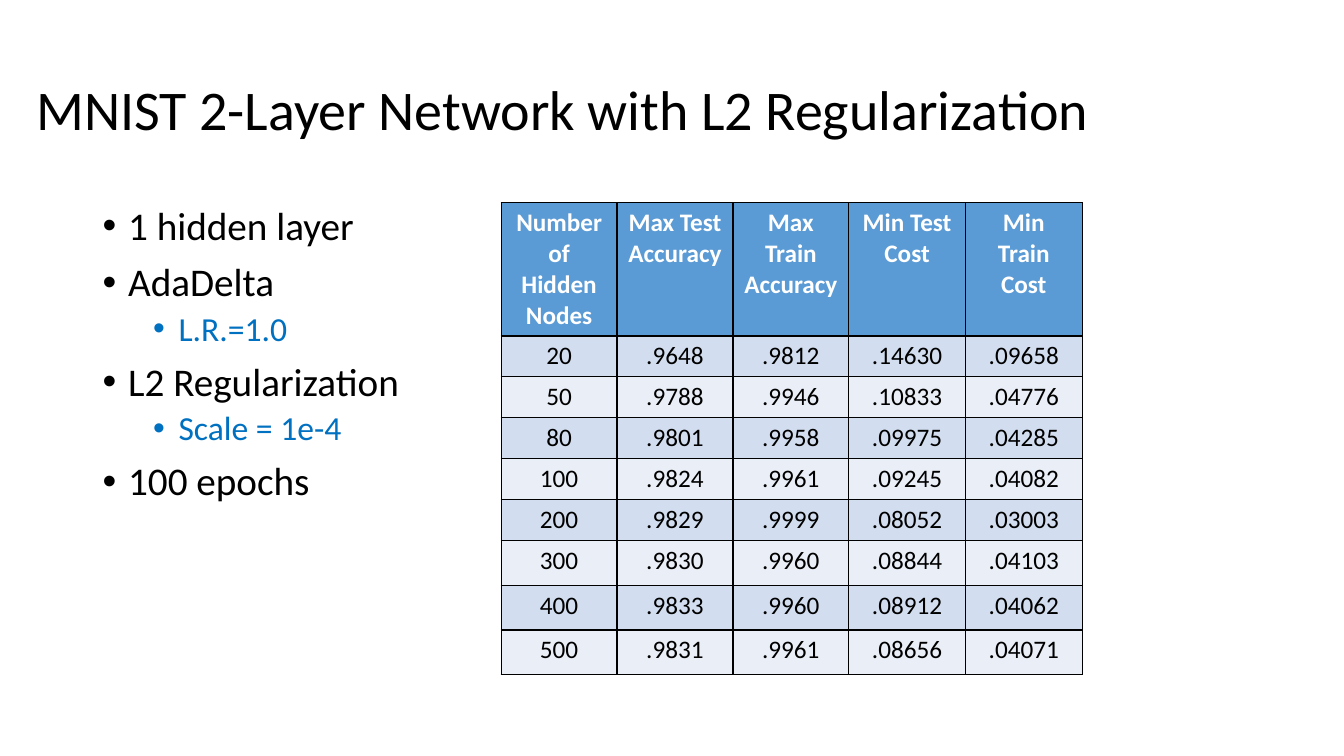
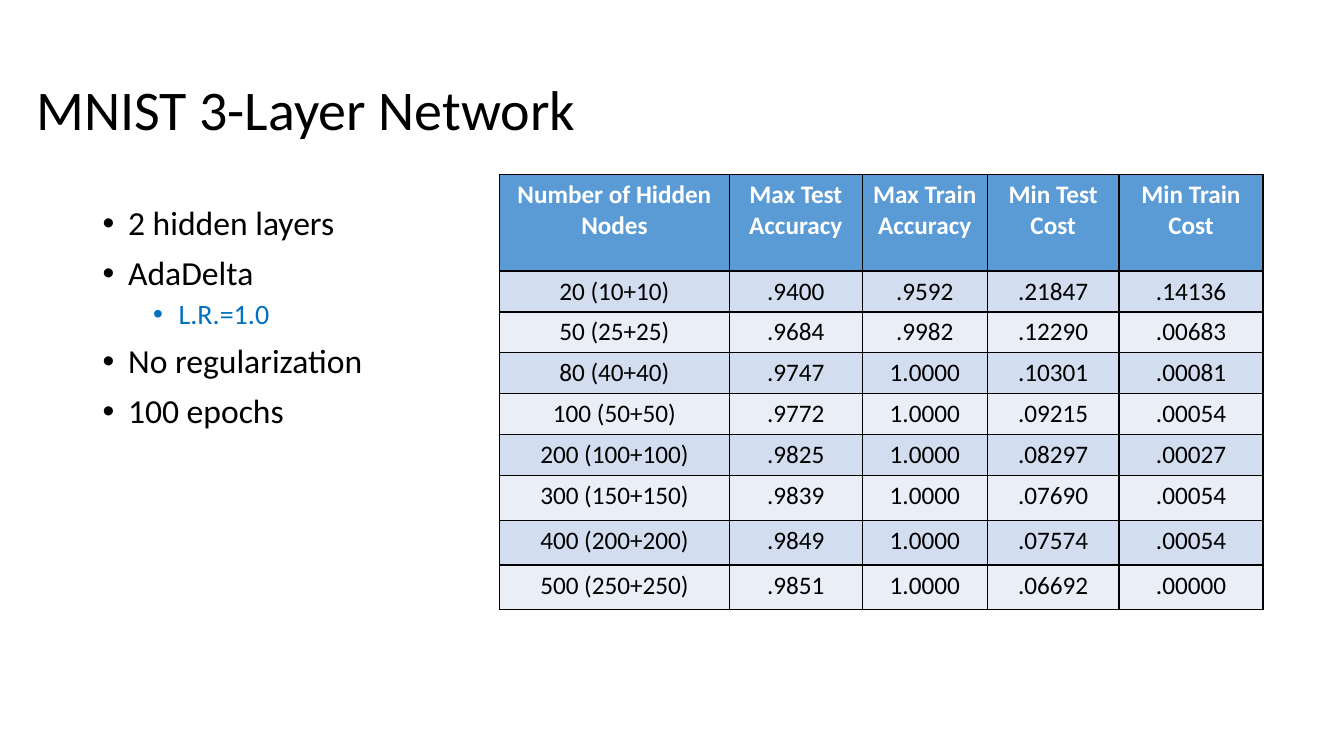
"""Build two slides comparing MNIST networks by number of hidden nodes."""
import dataclasses

import lxml.etree
import pptx
import pptx.dml.color
import pptx.enum.text
import pptx.oxml.ns
import pptx.util

Cm = pptx.util.Cm
Pt = pptx.util.Pt
RGB = pptx.dml.color.RGBColor.from_string
qn = pptx.oxml.ns.qn
ALIGN = pptx.enum.text.PP_ALIGN
ANCHOR = pptx.enum.text.MSO_ANCHOR


@dataclasses.dataclass(frozen=True)
class Theme:
    font: str = "Calibri"
    text: str = "000000"
    detail: str = "0070C0"
    header_text: str = "FFFFFF"
    header: str = "5B9BD5"
    bands: tuple = ("D2DEEF", "EAEFF7")
    border: str = "000000"
    title_size: int = 40
    table_size: int = 18
    detail_step: int = 4


theme = Theme()


def write(p, text, size, color=theme.text, bold=False, align=ALIGN.LEFT,
          spacing=None, before=None, bullet_indent=None):
    if bullet_indent is not None:
        pPr = p._p.get_or_add_pPr()
        pPr.set("marL", str(bullet_indent))
        pPr.set("indent", str(-Cm(0.64)))
        lxml.etree.SubElement(pPr, qn("a:buFont")).set("typeface", "Arial")
        lxml.etree.SubElement(pPr, qn("a:buChar")).set("char", "•")
    p.alignment = align
    if spacing is not None:
        p.line_spacing = spacing
    if before is not None:
        p.space_before = Pt(before)
    r = p.add_run()
    r.text = text
    r.font.name = theme.font
    r.font.size = Pt(size)
    r.font.bold = bold
    r.font.color.rgb = RGB(color)


def add_borders(cell):
    tcPr = cell._tc.get_or_add_tcPr()
    for side in ("lnL", "lnR", "lnT", "lnB"):
        ln = lxml.etree.SubElement(tcPr, qn(f"a:{side}"))
        ln.set("w", str(Pt(1)))
        fill = lxml.etree.SubElement(ln, qn("a:solidFill"))
        lxml.etree.SubElement(fill, qn("a:srgbClr")).set("val", theme.border)


headings = ("Number of Hidden Nodes", "Max Test Accuracy", "Max Train Accuracy",
            "Min Test Cost", "Min Train Cost")
data_heights = [1.03] * 5 + [1.13] * 3

slides = [
    {
        "title": "MNIST 2-Layer Network with L2 Regularization",
        "bullet_size": 28,
        "bullets": [(0, "1 hidden layer"), (0, "AdaDelta"), (1, "L.R.=1.0"),
                    (0, "L2 Regularization"), (1, "Scale = 1e-4"), (0, "100 epochs")],
        "left": 12.63, "top": 5.11, "header_height": 3.35,
        "widths": (2.92, 2.92, 2.92, 2.94, 2.94),
        "rows": [
            ("20", ".9648", ".9812", ".14630", ".09658"),
            ("50", ".9788", ".9946", ".10833", ".04776"),
            ("80", ".9801", ".9958", ".09975", ".04285"),
            ("100", ".9824", ".9961", ".09245", ".04082"),
            ("200", ".9829", ".9999", ".08052", ".03003"),
            ("300", ".9830", ".9960", ".08844", ".04103"),
            ("400", ".9833", ".9960", ".08912", ".04062"),
            ("500", ".9831", ".9961", ".08656", ".04071"),
        ],
    },
    {
        "title": "MNIST 3-Layer Network",
        "bullet_size": 24,
        "bullets": [(0, "2 hidden layers"), (0, "AdaDelta"), (1, "L.R.=1.0"),
                    (0, "No regularization"), (0, "100 epochs")],
        "left": 12.59, "top": 4.4, "header_height": 2.43,
        "widths": (5.79, 3.35, 3.15, 3.32, 3.63),
        "rows": [
            ("20 (10+10)", ".9400", ".9592", ".21847", ".14136"),
            ("50 (25+25)", ".9684", ".9982", ".12290", ".00683"),
            ("80 (40+40)", ".9747", "1.0000", ".10301", ".00081"),
            ("100 (50+50)", ".9772", "1.0000", ".09215", ".00054"),
            ("200 (100+100)", ".9825", "1.0000", ".08297", ".00027"),
            ("300 (150+150)", ".9839", "1.0000", ".07690", ".00054"),
            ("400 (200+200)", ".9849", "1.0000", ".07574", ".00054"),
            ("500 (250+250)", ".9851", "1.0000", ".06692", ".00000"),
        ],
    },
]

prs = pptx.Presentation()
prs.slide_width, prs.slide_height = Cm(33.87), Cm(19.05)

for content in slides:
    s = prs.slides.add_slide(prs.slide_layouts[5])
    title = s.shapes.title
    title.left, title.top, title.width, title.height = Cm(0.66), Cm(0.99), Cm(29.21), Cm(3.68)
    title.text_frame.vertical_anchor = ANCHOR.MIDDLE
    write(title.text_frame.paragraphs[0], content["title"], theme.title_size, spacing=0.9)

    heights = [content["header_height"]] + data_heights
    rows = [headings] + content["rows"]
    table = s.shapes.add_table(
        len(rows), len(headings), Cm(content["left"]), Cm(content["top"]),
        Cm(sum(content["widths"])), Cm(sum(heights))).table
    for column, width in zip(table.columns, content["widths"]):
        column.width = Cm(width)
    for i, (values, height) in enumerate(zip(rows, heights)):
        table.rows[i].height = Cm(height)
        is_header = i == 0
        for j, value in enumerate(values):
            cell = table.cell(i, j)
            add_borders(cell)
            cell.fill.solid()
            cell.fill.fore_color.rgb = RGB(theme.header if is_header else theme.bands[(i - 1) % 2])
            write(cell.text_frame.paragraphs[0], value, theme.table_size,
                  color=theme.header_text if is_header else theme.text,
                  bold=is_header, align=ALIGN.CENTER)

    sp = s.shapes.add_textbox(Cm(2.34), Cm(5.08), Cm(8.61), Cm(8.56))
    tf = sp.text_frame
    tf.word_wrap = True
    for i, (level, text) in enumerate(content["bullets"]):
        p = tf.add_paragraph() if i else tf.paragraphs[0]
        p.level = level
        write(p, text, content["bullet_size"] - level * theme.detail_step,
              color=theme.detail if level else theme.text, spacing=0.9,
              before=(5 if level else 10) if i else 0,
              bullet_indent=Cm(0.64 + 1.27 * level))

prs.save("out.pptx")
